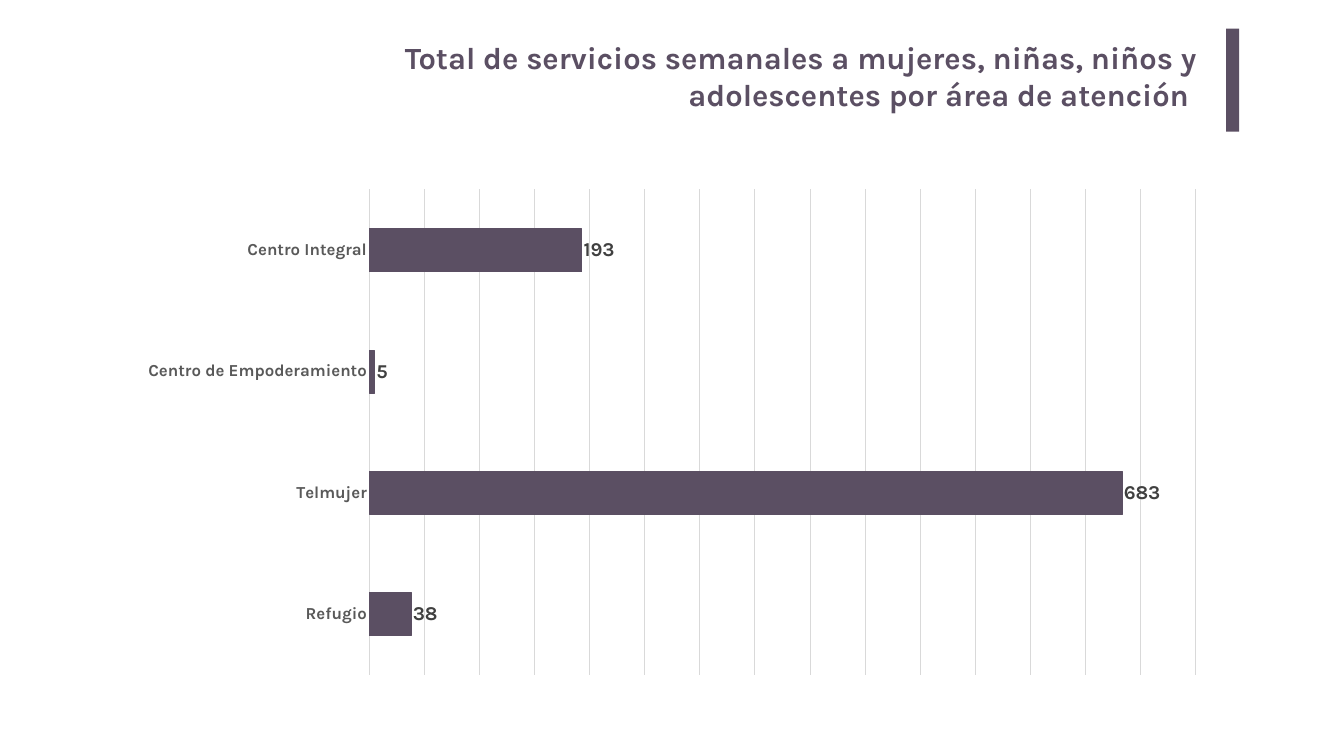
"""Build the slide with weekly services by area of attention."""
from pptx import Presentation
from pptx.chart.data import CategoryChartData
from pptx.dml.color import RGBColor
from pptx.enum.chart import XL_CHART_TYPE as ChartType
from pptx.enum.chart import XL_LABEL_POSITION as LabelPosition
from pptx.enum.chart import XL_TICK_MARK as TickMark
from pptx.enum.shapes import MSO_SHAPE as Shape
from pptx.enum.text import MSO_ANCHOR as Anchor
from pptx.enum.text import MSO_AUTO_SIZE as AutoSize
from pptx.enum.text import PP_ALIGN as Align
from pptx.util import Inches, Pt

PURPLE = RGBColor(0x5B, 0x4F, 0x63)
GRID_GRAY = RGBColor(0xD9, 0xD9, 0xD9)
AXIS_GRAY = RGBColor(0x59, 0x59, 0x59)
LABEL_GRAY = RGBColor(0x40, 0x40, 0x40)
BLACK = RGBColor(0x00, 0x00, 0x00)
FONT = "Karla"
SERVICES = {
    "Centro Integral": 193,
    "Centro de Empoderamiento": 5,
    "Telmujer": 683,
    "Refugio": 38,
}


def style_font(font, size, color, bold=True):
    font.name = FONT
    font.size = Pt(size)
    font.bold = bold
    font.color.rgb = color


def style_line(line, color):
    line.color.rgb = color
    line.width = Pt(0.75)


deck = Presentation()
deck.slide_width = Inches(26.67)
deck.slide_height = Inches(15)
page = deck.slides.add_slide(deck.slide_layouts[5])

chart_data = CategoryChartData()
chart_data.categories = list(SERVICES)
chart_data.add_series("Series 1", list(SERVICES.values()))
chart = page.shapes.add_chart(
    ChartType.BAR_CLUSTERED,
    Inches(2.51), Inches(3.56), Inches(21.65), Inches(10.03),
    chart_data,
).chart
chart.has_legend = False
chart.has_title = False
style_font(chart.font, 32, BLACK, bold=False)

areas = chart.category_axis
areas.reverse_order = True
areas.major_tick_mark = TickMark.NONE
areas.minor_tick_mark = TickMark.NONE
style_font(areas.tick_labels.font, 24, AXIS_GRAY)
style_line(areas.format.line, GRID_GRAY)

totals = chart.value_axis
totals.visible = False
totals.minimum_scale = 0
totals.maximum_scale = 750
totals.major_unit = 50
totals.has_major_gridlines = True
style_line(totals.major_gridlines.format.line, GRID_GRAY)

plot = chart.plots[0]
plot.gap_width = 182
plot.vary_by_categories = False
bars = plot.series[0]
bars.format.fill.solid()
bars.format.fill.fore_color.rgb = PURPLE
style_line(bars.format.line, PURPLE)
labels = bars.data_labels
labels.show_value = True
labels.position = LabelPosition.OUTSIDE_END
style_font(labels.font, 28, LABEL_GRAY)

title = page.shapes.title
title.left, title.top = Inches(6.56), Inches(0.67)
title.width, title.height = Inches(17.4), Inches(2.04)
frame = title.text_frame
frame.word_wrap = True
frame.auto_size = AutoSize.NONE
frame.vertical_anchor = Anchor.TOP
frame.margin_left = frame.margin_right = Inches(0.2)
frame.margin_top = frame.margin_bottom = Inches(0.1)
frame.text = (
    "Total de servicios semanales a mujeres, niñas, niños y "
    "adolescentes por área de atención "
)
para = frame.paragraphs[0]
para.alignment = Align.RIGHT
style_font(para.font, 44, PURPLE)

accent = page.shapes.add_shape(
    Shape.RECTANGLE, Inches(24.33), Inches(0.57), Inches(0.26), Inches(2.04)
)
accent.shadow.inherit = False
accent.fill.solid()
accent.fill.fore_color.rgb = PURPLE
accent.line.fill.background()

deck.save("out.pptx")
